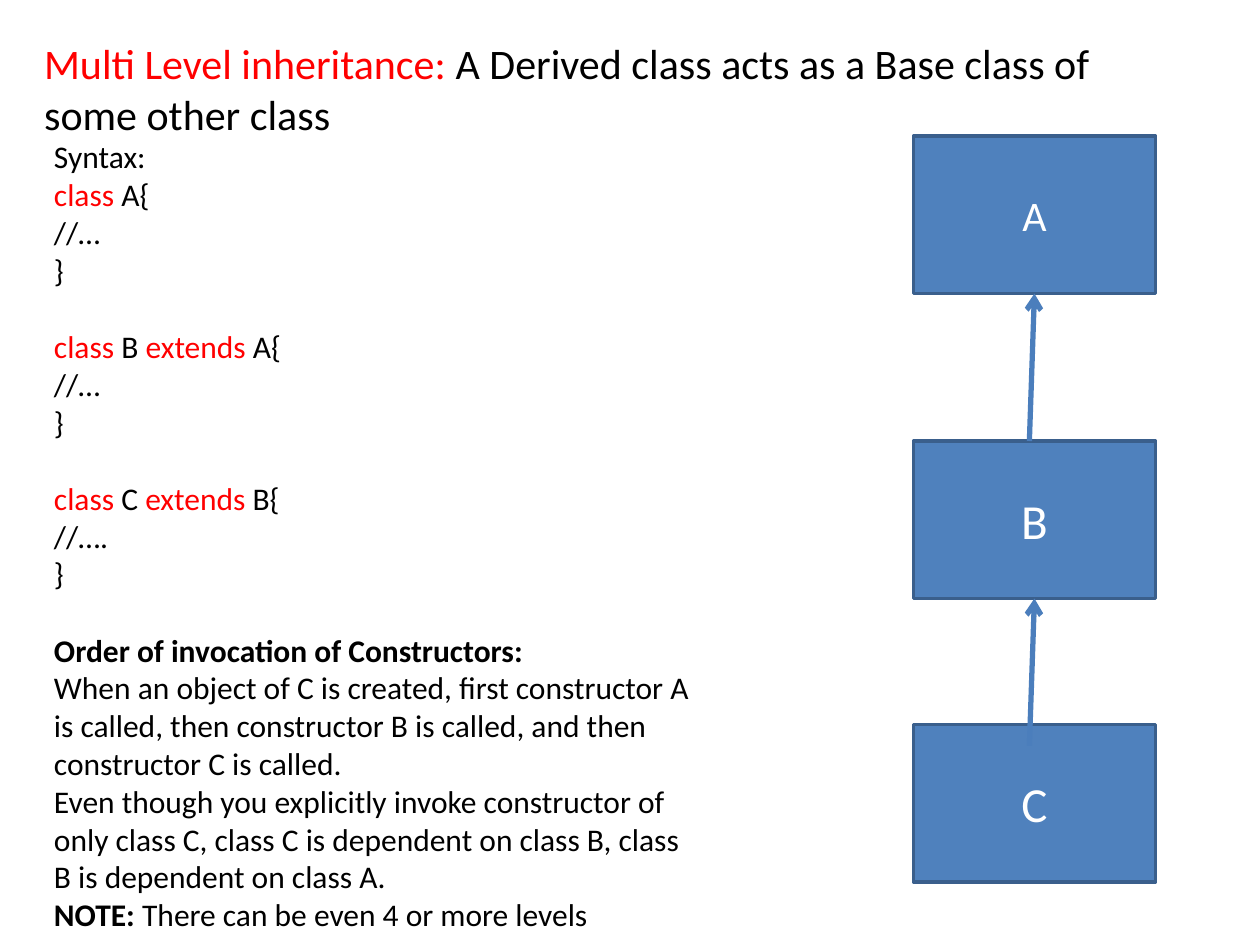
from pptx import Presentation
from pptx.dml.color import RGBColor
from pptx.enum.shapes import MSO_CONNECTOR, MSO_SHAPE
from pptx.enum.text import MSO_ANCHOR as ANCHOR, MSO_AUTO_SIZE as AUTO, PP_ALIGN as ALIGN
from pptx.oxml.ns import qn
from pptx.util import Inches, Pt
from lxml.etree import SubElement

RED = "FF0000"
BLACK = "000000"


def rgb(value):
    return RGBColor.from_string(value)


def write(p, text, size=18, color=BLACK, bold=False, font="Calibri"):
    r = p.add_run()
    r.text = text
    r.font.name = font
    r.font.size = Pt(size)
    r.font.bold = bold
    r.font.color.rgb = rgb(color)


class Deck:
    fill = "4F81BD"
    border = "3A5F8C"
    arrow_color = "4B7EBC"
    block_gap = Pt(22)

    def __init__(self):
        self.prs = Presentation()
        self.prs.slide_width = Inches(10)
        self.prs.slide_height = Inches(7.5)
        self.s = self.prs.slides.add_slide(self.prs.slide_layouts[5])

    def title(self, runs, x, y, w, h):
        sp = self.s.shapes.title
        sp.left, sp.top, sp.width, sp.height = map(Inches, (x, y, w, h))
        tf = sp.text_frame
        tf.word_wrap = True
        tf.auto_size = AUTO.NONE
        tf.vertical_anchor = ANCHOR.TOP
        p = tf.paragraphs[0]
        p.alignment = ALIGN.LEFT
        for text, style in runs:
            write(p, text, size=24, **style)

    def text(self, blocks, x, y, w, h):
        tf = self.s.shapes.add_textbox(*map(Inches, (x, y, w, h))).text_frame
        tf.word_wrap = True
        p = tf.paragraphs[0]
        for b, block in enumerate(blocks):
            for i, runs in enumerate(block):
                if b or i:
                    p = tf.add_paragraph()
                if b and not i:
                    p.space_before = self.block_gap
                for text, style in runs:
                    write(p, text, **style)

    def box(self, label, x, y, w, h, size):
        sp = self.s.shapes.add_shape(MSO_SHAPE.RECTANGLE, *map(Inches, (x, y, w, h)))
        sp.shadow.inherit = False
        sp.fill.solid()
        sp.fill.fore_color.rgb = rgb(self.fill)
        sp.line.color.rgb = rgb(self.border)
        sp.line.width = Pt(2)
        tf = sp.text_frame
        tf.vertical_anchor = ANCHOR.MIDDLE
        p = tf.paragraphs[0]
        p.alignment = ALIGN.CENTER
        write(p, label, size=size, color="FFFFFF")
        return sp

    def arrow(self, x1, y1, x2, y2, target):
        line = self.s.shapes.add_connector(
            MSO_CONNECTOR.STRAIGHT, *map(Inches, (x1, y1, x2, y2)))
        line.end_connect(target, 2)
        line.line.color.rgb = rgb(self.arrow_color)
        line.line.width = Pt(3)
        SubElement(line.line._get_or_add_ln(), qn("a:tailEnd"), type="arrow")
        SubElement(line._element.spPr, qn("a:effectLst"))


def plain(text):
    return [(text, {})]


def class_block(name, parent=None, body="//…"):
    head = [("class", {"color": RED})]
    if parent:
        head += [(f" {name} ", {}), ("extends", {"color": RED}), (f" {parent}{{", {})]
    else:
        head += [(f" {name}{{", {})]
    return [head, plain(body), plain("}")]


def main():
    deck = Deck()
    deck.title([("Multi Level inheritance: ", {"color": RED}),
                ("A Derived class acts as a Base class of some other class", {})],
               0.25, 0.25, 8.67, 0.91)

    left, width, height = 7.25, 1.92, 1.25
    center = left + width / 2
    parent, parent_bottom = None, 0
    for label, top, size, tail in (("A", 1.08, 24, None), ("B", 3.5, 28, 3.5),
                                   ("C", 5.75, 28, 5.92)):
        box = deck.box(label, left, top, width, height, size)
        if parent:
            deck.arrow(center - 0.04, tail, center, parent_bottom, parent)
        parent, parent_bottom = box, top + height

    order = [
        [("Order of invocation of Constructors:", {"bold": True})],
        plain("When an object of C is created, first constructor A is called, "
              "then constructor B is called, and then constructor C is called."),
        plain("Even though you explicitly invoke constructor of only class C, "
              "class C is dependent on class B, class B is dependent on class A."),
        [("NOTE: ", {"bold": True}), ("There can be even 4 or more levels", {})],
    ]
    deck.text([[plain("Syntax:")] + class_block("A"), class_block("B", "A"),
               class_block("C", "B", "//…."), order],
              0.33, 1.04, 5.25, 6.46)
    deck.prs.save("out.pptx")


if __name__ == "__main__":
    main()
